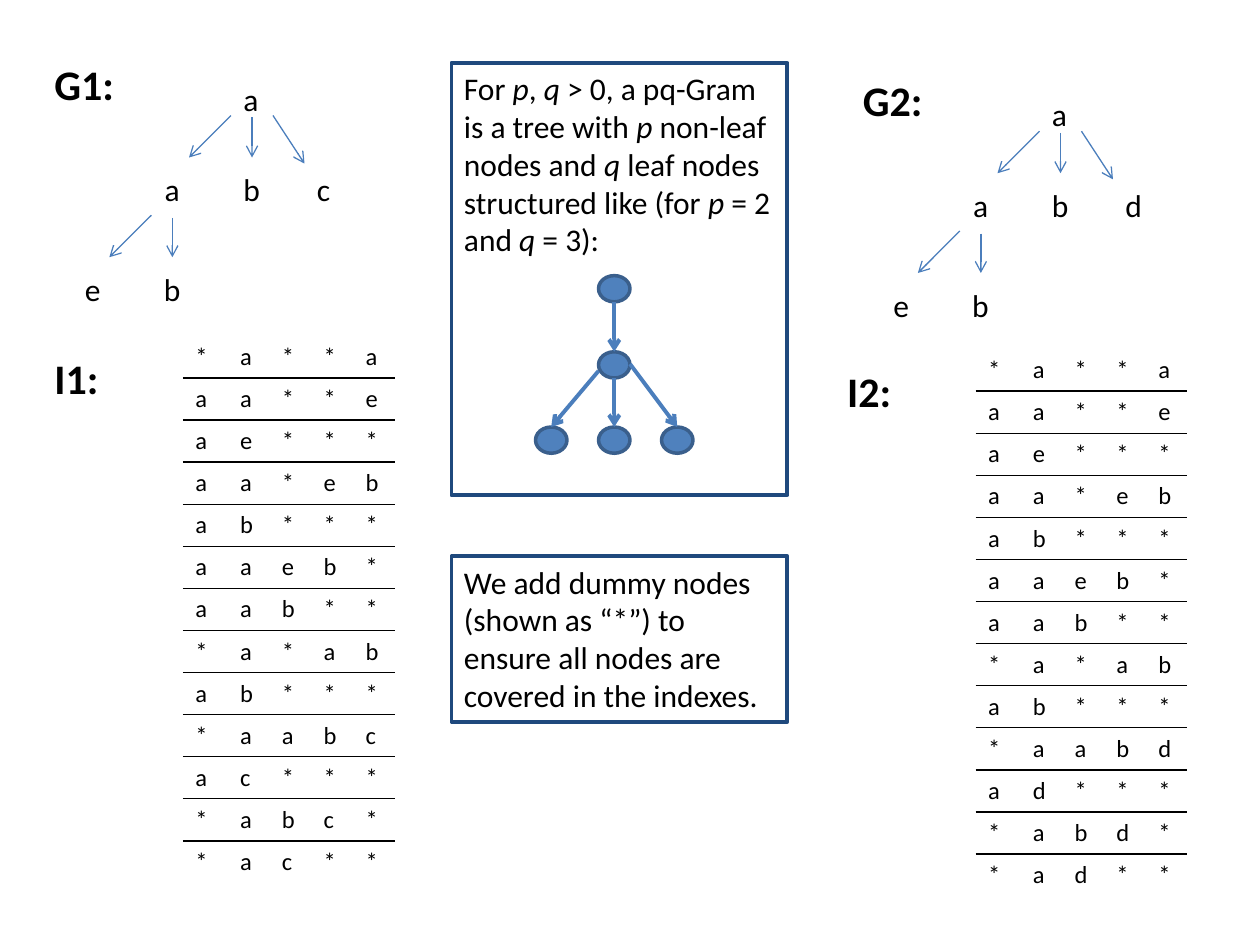
from dataclasses import dataclass

from pptx import Presentation
from pptx.dml.color import RGBColor
from pptx.enum.shapes import MSO_CONNECTOR, MSO_SHAPE
from pptx.enum.text import MSO_ANCHOR, PP_ALIGN
from pptx.oxml import parse_xml
from pptx.oxml.ns import nsdecls, qn
from pptx.util import Pt

LINE, RECT, OVAL = MSO_CONNECTOR.STRAIGHT, MSO_SHAPE.RECTANGLE, MSO_SHAPE.OVAL
TOP, LEFT = MSO_ANCHOR.TOP, PP_ALIGN.LEFT
PLAIN = "{2D5ABB26-0587-4C30-8999-92F81FD0307C}"


@dataclass(frozen=True)
class Theme:
    font: str = "Calibri"
    ink: RGBColor = RGBColor(0, 0, 0)
    arrow: RGBColor = RGBColor(0x4B, 0x7E, 0xBC)
    node: RGBColor = RGBColor(0x4F, 0x81, 0xBD)
    rim: RGBColor = RGBColor(0x3A, 0x5F, 0x8C)
    frame: RGBColor = RGBColor(0x1F, 0x49, 0x7D)
    head: int = 24
    body: int = 18
    cell: int = 14


@dataclass(frozen=True)
class Node:
    text: str
    x: float
    y: float


@dataclass(frozen=True)
class Edge:
    x1: float
    y1: float
    x2: float
    y2: float


@dataclass(frozen=True)
class Graph:
    num: int
    leaf: str
    x: float
    y: float
    index: Node
    grid_x: float
    grid_y: float


theme = Theme()
deck = Presentation()
deck.slide_width, deck.slide_height = Pt(720), Pt(540)
slide = deck.slides.add_slide(deck.slide_layouts[6])
shapes = slide.shapes


def style(para, size: int, bold: bool = False) -> None:
    font = para.font
    font.name, font.size, font.bold = theme.font, Pt(size), bold
    font.color.rgb = theme.ink


def label(node: Node, w: float, h: float, size: int, bold: bool = False) -> None:
    box = shapes.add_textbox(Pt(node.x), Pt(node.y), Pt(w), Pt(h))
    frame = box.text_frame
    frame.word_wrap = True
    frame.text = node.text
    style(frame.paragraphs[0], size, bold)


def arrow(edge: Edge, width: float) -> None:
    link = shapes.add_connector(LINE, Pt(edge.x1), Pt(edge.y1), Pt(edge.x2), Pt(edge.y2))
    link.line.color.rgb = theme.arrow
    link.line.width = Pt(width)
    props = link._element.spPr
    props.find(qn("a:ln")).append(parse_xml(f'<a:tailEnd {nsdecls("a")} type="arrow"/>'))
    props.append(parse_xml(f'<a:effectLst {nsdecls("a")}/>'))


def note(text: str, y: float, h: float) -> None:
    """Framed text; parts between underscores are italic."""
    box = shapes.add_shape(RECT, Pt(258), Pt(y), Pt(192), Pt(h))
    box.shadow.inherit = False
    box.fill.background()
    box.line.color.rgb = theme.frame
    box.line.width = Pt(2.25)
    frame = box.text_frame
    frame.word_wrap = True
    frame.vertical_anchor = TOP
    para = frame.paragraphs[0]
    para.alignment = LEFT
    style(para, theme.body)
    for i, part in enumerate(text.split("_")):
        run = para.add_run()
        run.text = part
        if i % 2:
            run.font.italic = True


def oval(x: float, y: float) -> None:
    dot = shapes.add_shape(OVAL, Pt(x - 9), Pt(y), Pt(18), Pt(15))
    dot.shadow.inherit = False
    dot.fill.solid()
    dot.fill.fore_color.rgb = theme.node
    dot.line.color.rgb = theme.rim
    dot.line.width = Pt(2)


def rule(cell, side: str) -> None:
    cell._tc.get_or_add_tcPr().append(parse_xml(
        f'<a:{side} {nsdecls("a")} w="12700"><a:solidFill>'
        f'<a:srgbClr val="{theme.ink}"/></a:solidFill></a:{side}>'))


def grid(rows: list[str], x: float, y: float) -> None:
    last = len(rows) - 1
    shape = shapes.add_table(len(rows), 5, Pt(x), Pt(y), Pt(121.6), Pt(316))
    table = shape.table
    table.first_row = table.horz_banding = False
    table._tbl.tblPr.find(qn("a:tableStyleId")).text = PLAIN
    for c, col in enumerate(table.columns):
        col.width = Pt(23.9 if c else 25.5)
    for r, row in enumerate(rows):
        table.rows[r].height = Pt(28 if r == last else 23.4)
        for c, mark in enumerate(row):
            cell = table.cell(r, c)
            cell.text = mark
            style(cell.text_frame.paragraphs[0], theme.cell)
            if r > 0:
                rule(cell, "lnT")
            if r < last:
                rule(cell, "lnB")
            cell.fill.background()


# Tree places are relative to the graph heading; "x" is the leaf that differs
NODES = [Node("a", 108, 12), Node("a", 63, 63.5), Node("b", 108, 63.5),
         Node("x", 150, 63.5), Node("e", 17.5, 121), Node("b", 62.5, 121)]
EDGES = [Edge(108, 36, 84, 60), Edge(120, 37, 120, 60), Edge(132, 36, 150, 63.5),
         Edge(62.5, 93, 38.5, 117), Edge(74.5, 94.5, 74.5, 117)]
GRAMS = ["*a**a", "aa**e", "ae***", "aa*eb", "ab***", "aaeb*", "aab**",
         "*a*ab", "ab***", "*aabx", "ax***", "*abx*", "*ax**"]
GRAPHS = [Graph(1, "c", 24, 30, Node("I1:", 24, 198), 104.5, 192),
          Graph(2, "d", 486, 39, Node("I2:", 477, 205.5), 557.5, 199.5)]

# Both trees with their indexes
for g in GRAPHS:
    label(Node(f"G{g.num}:", g.x, g.y), 60, 36, theme.head, True)
    for n in NODES:
        label(Node(n.text.replace("x", g.leaf), g.x + n.x, g.y + n.y), 30, 30, theme.body)
    for e in EDGES:
        arrow(Edge(g.x + e.x1, g.y + e.y1, g.x + e.x2, g.y + e.y2), 0.75)
    label(g.index, 60, 36, theme.head, True)
    grid([row.replace("x", g.leaf) for row in GRAMS], g.grid_x, g.grid_y)

# Definition and its sample gram
note("For _p_, _q_ > 0, a pq-Gram is a tree with _p_ non-leaf nodes and _q_ leaf "
     "nodes structured like (for _p_ = 2 and _q_ = 3):", 36, 247)
MID, STEP = 351, 36
TIERS = [157.5, 201, 244]
for y in TIERS:
    oval(MID, y)
for x in (MID - STEP, MID + STEP):
    oval(x, TIERS[2])
for e in (Edge(MID, TIERS[0] + 15, MID, TIERS[1]),
          Edge(MID, TIERS[1] + 15, MID, TIERS[2]),
          Edge(MID - 9, 212, MID - STEP, TIERS[2]),
          Edge(MID + 9, 208, MID + STEP, TIERS[2])):
    arrow(e, 2.25)

# Remark on dummy nodes
note("We add dummy nodes (shown as “*”) to ensure all nodes are covered "
     "in the indexes.", 318, 94.5)

deck.save("out.pptx")
